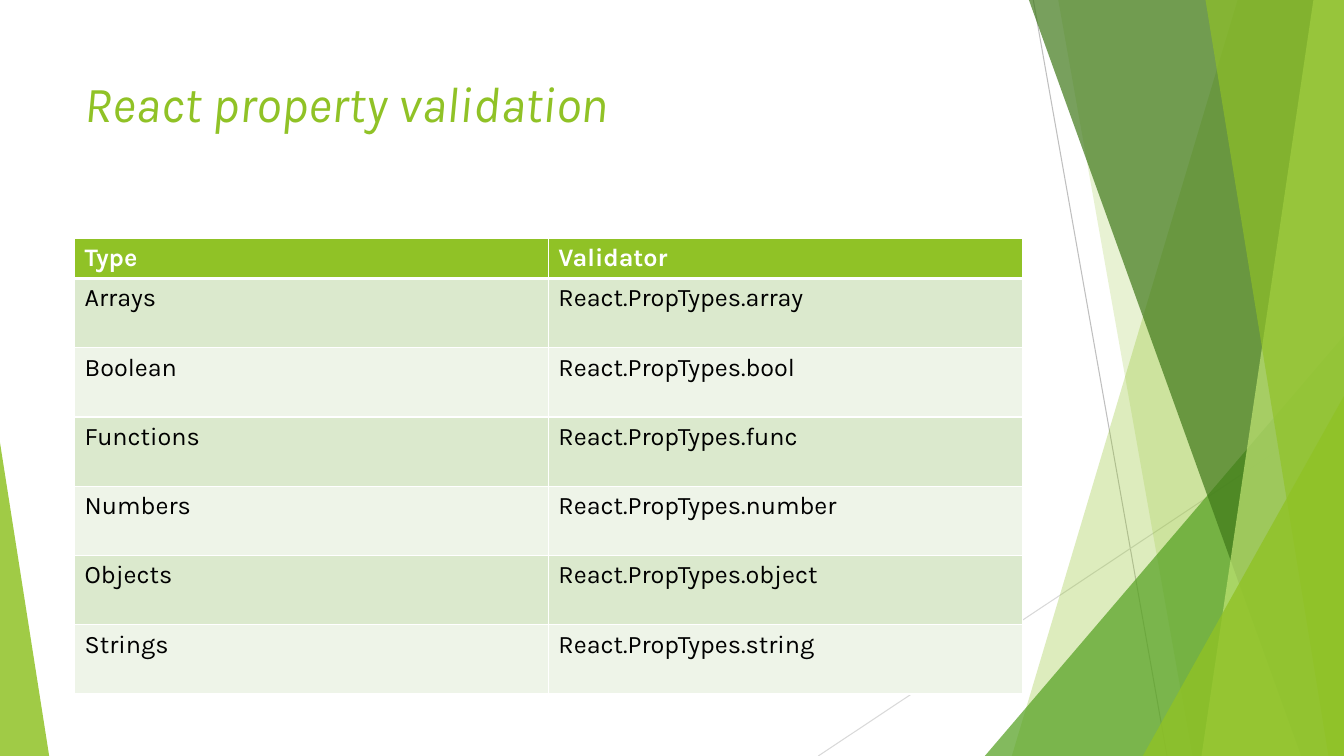
import dataclasses

import lxml.etree
import pptx
import pptx.dml.color
import pptx.enum.shapes
import pptx.enum.text
import pptx.oxml.ns
import pptx.util

Cm = pptx.util.Cm
WIDTH, HEIGHT = 33.87, 19.05
LEFT, CONTENT_WIDTH = 1.88, 23.88
HEADER_HEIGHT, ROW_HEIGHT = 1.02, 1.745

VALIDATORS = {
    "Arrays": "array",
    "Boolean": "bool",
    "Functions": "func",
    "Numbers": "number",
    "Objects": "object",
    "Strings": "string",
}


@dataclasses.dataclass(frozen=True)
class Theme:
    font: str = "Karla"
    title_size: int = 36
    table_size: int = 18
    lime: str = "90C226"
    green: str = "54A021"
    forest: str = "3F7819"
    pale_lime: str = "C0E474"
    odd_row: str = "DBE9CD"
    even_row: str = "EEF4E8"
    white: str = "FFFFFF"
    black: str = "000000"
    dark_line: str = "BFBFBF"
    light_line: str = "D9D9D9"


THEME = Theme()


def rgb(value):
    return pptx.dml.color.RGBColor.from_string(value)


def set_values(target, values):
    for name, value in values.items():
        setattr(target, name, value)


def add_child(parent, tag, **attributes):
    return lxml.etree.SubElement(parent, pptx.oxml.ns.qn(tag), **attributes)


def format_text(text_frame, text, size, colour, **values):
    paragraph = text_frame.paragraphs[0]
    paragraph.alignment = pptx.enum.text.PP_ALIGN.LEFT
    run = paragraph.add_run()
    run.text = text
    set_values(run.font, {"name": THEME.font, "size": pptx.util.Pt(size), **values})
    run.font.color.rgb = rgb(colour)


def fill_shape(shape, colour, opacity):
    shape.shadow.inherit = False
    shape.fill.solid()
    shape.fill.fore_color.rgb = rgb(colour)
    shape.line.fill.background()
    colour_element = shape._element.spPr.find(".//" + pptx.oxml.ns.qn("a:srgbClr"))
    add_child(colour_element, "a:alpha", val=str(opacity * 1000))


def add_band(slide, top_x, bottom_x, colour, opacity):
    corners = [(WIDTH, 0), (WIDTH, HEIGHT), (bottom_x, HEIGHT)]
    builder = slide.shapes.build_freeform(Cm(top_x), 0)
    builder.add_line_segments([(Cm(x), Cm(y)) for x, y in corners], close=True)
    fill_shape(builder.convert_to_shape(), colour, opacity)


def add_corner(slide, left, top, width, apex, colour, opacity):
    shape = slide.shapes.add_shape(
        pptx.enum.shapes.MSO_SHAPE.ISOSCELES_TRIANGLE,
        Cm(left), Cm(top), Cm(width), Cm(HEIGHT - top))
    shape.adjustments[0] = apex
    fill_shape(shape, colour, opacity)


def add_line(slide, start, end, colour):
    points = [Cm(value) for value in (*start, *end)]
    line = slide.shapes.add_connector(pptx.enum.shapes.MSO_CONNECTOR.STRAIGHT, *points)
    line.line.color.rgb = rgb(colour)
    line.line.width = pptx.util.Pt(0.75)
    add_child(line._element.spPr, "a:effectLst")


def add_decoration(slide):
    add_line(slide, (26.04, 0), (29.41, HEIGHT), THEME.dark_line)
    add_line(slide, (WIDTH, 10.24), (20.62, HEIGHT), THEME.light_line)
    add_band(slide, 31.19, 25.5, THEME.lime, 30)
    add_band(slide, 26.67, 30.05, THEME.lime, 20)
    add_corner(slide, 24.82, 8.46, WIDTH - 24.82, 1, THEME.green, 72)
    add_band(slide, 25.93, 32.79, THEME.forest, 70)
    add_band(slide, 33.1, 30.28, THEME.pale_lime, 70)
    add_band(slide, 30.38, 33.48, THEME.lime, 65)
    add_corner(slide, 28.8, 9.98, WIDTH - 28.8, 1, THEME.lime, 80)
    add_corner(slide, 0, 11.15, 1.24, 0, THEME.lime, 85)


def add_title(slide, text):
    title = slide.shapes.title
    set_values(title, {"left": Cm(LEFT), "top": Cm(1.7),
                       "width": Cm(CONTENT_WIDTH), "height": Cm(3.66)})
    set_values(title.text_frame, {
        "word_wrap": True,
        "auto_size": pptx.enum.text.MSO_AUTO_SIZE.NONE,
        "vertical_anchor": pptx.enum.text.MSO_ANCHOR.TOP})
    format_text(title.text_frame, text, THEME.title_size, THEME.lime, italic=True)


def add_borders(cell, widths):
    properties = cell._tc.get_or_add_tcPr()
    for side, width in widths.items():
        border = add_child(properties, "a:ln" + side, w=str(pptx.util.Pt(width)))
        add_child(add_child(border, "a:solidFill"), "a:srgbClr", val=THEME.white)


def format_cell(cell, text, row):
    header = row == 0
    thick_above, thick_below = row == 1, header
    add_borders(cell, {"L": 1, "R": 1, "T": 3 if thick_above else 1,
                       "B": 3 if thick_below else 1})
    row_colour = THEME.odd_row if row % 2 else THEME.even_row
    cell.fill.solid()
    cell.fill.fore_color.rgb = rgb(THEME.lime if header else row_colour)
    format_text(cell.text_frame, text, THEME.table_size,
                THEME.white if header else THEME.black, bold=header)


def add_validator_table(slide):
    rows = [("Type", "Validator")]
    rows += [(kind, f"React.PropTypes.{name}") for kind, name in VALIDATORS.items()]
    height = HEADER_HEIGHT + ROW_HEIGHT * len(VALIDATORS)
    table = slide.shapes.add_table(
        len(rows), 2, Cm(LEFT), Cm(6), Cm(CONTENT_WIDTH), Cm(height)).table
    for row, texts in enumerate(rows):
        table.rows[row].height = Cm(ROW_HEIGHT if row else HEADER_HEIGHT)
        for column, text in enumerate(texts):
            format_cell(table.cell(row, column), text, row)


def main():
    """Build the property validation slide and save it."""
    presentation = pptx.Presentation()
    set_values(presentation, {"slide_width": Cm(WIDTH), "slide_height": Cm(HEIGHT)})
    slide = presentation.slides.add_slide(presentation.slide_layouts[5])
    add_decoration(slide)
    add_title(slide, "React property validation")
    add_validator_table(slide)
    presentation.save("out.pptx")


main()
